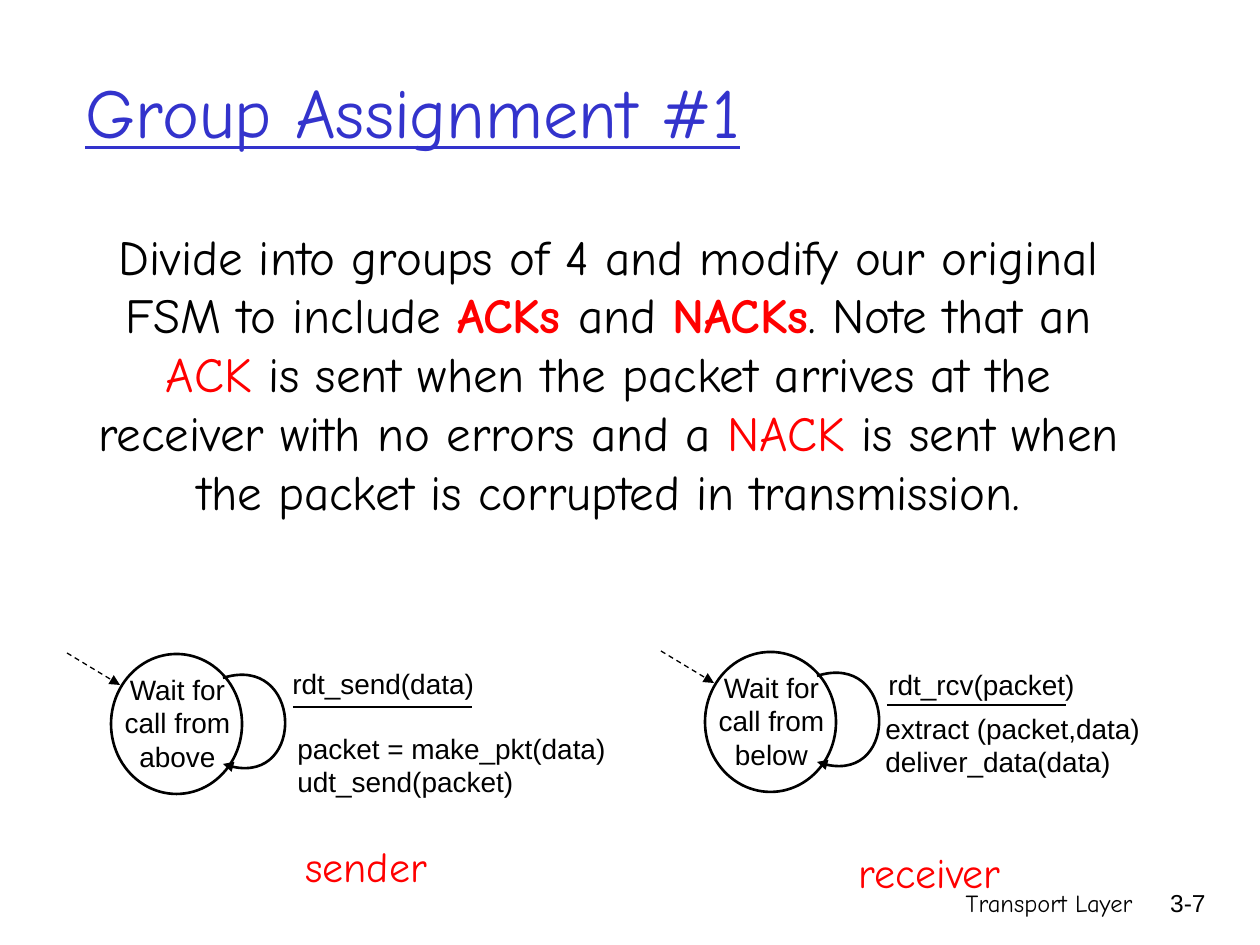
from pptx import Presentation
from pptx.dml.color import RGBColor
from pptx.enum.dml import MSO_LINE
from pptx.enum.shapes import MSO_CONNECTOR, MSO_SHAPE
from pptx.enum.text import MSO_ANCHOR, PP_ALIGN
from pptx.oxml.ns import qn
from pptx.util import Emu, Pt
from lxml.etree import SubElement

BLACK = RGBColor(0, 0, 0)
WHITE = RGBColor(255, 255, 255)
RED = RGBColor(255, 0, 0)
BLUE = RGBColor(0x33, 0x33, 0xCC)
COMIC, SANS = "Comic Neue", "Arial"
SCALE = 914400 / 126

TITLE = "Group Assignment #1"
TASK = [
    ("Divide into groups of 4 and modify our original FSM to include ", BLACK, False),
    ("ACKs ", RED, True),
    ("and ", BLACK, False),
    ("NACKs", RED, True),
    (". Note that an ", BLACK, False),
    ("ACK", RED, False),
    (" is sent when the packet arrives at the receiver with no errors and a ", BLACK, False),
    ("NACK", RED, False),
    (" is sent when the packet is corrupted in transmission.", BLACK, False),
]
MACHINES = [
    {"origin": (111, 654), "state": "Wait for call from above",
     "event": ("rdt_send(data)", (280, 660, 311, 59)),
     "actions": ("packet = make_pkt(data)\nudt_send(packet)", (285, 725, 402, 82)),
     "role": ("sender", (293, 834, 152, 63))},
    {"origin": (705, 652), "state": "Wait for call from below",
     "event": ("rdt_rcv(packet)", (876, 661, 216, 47)),
     "actions": ("extract (packet,data)\ndeliver_data(data)", (873, 705, 343, 59)),
     "role": ("receiver", (846, 840, 175, 63))},
]
FOOTERS = [
    ("Transport Layer", (746, 882, 399, 63), COMIC),
    ("3-7", (1125, 882, 93, 63), SANS),
]
STATE_SIZE = (131, 140)
LABEL_BOX = (-9, 12, 151, 126)
ENTRY = [(-44, -1), (9, 31)]
RULE = [(182, 53), (361, 53)]
LOOP = [(112, 24), (191, -1), (196, 140), (112, 110)]


def px(value):
    return Emu(round(value * SCALE))


def shifted(origin, points):
    return [(origin[0] + x, origin[1] + y) for x, y in points]


def add_text(place, spans, size, font, align=PP_ALIGN.LEFT):
    box = page.shapes.add_textbox(*map(px, place))
    frame = box.text_frame
    frame.word_wrap = True
    para = frame.paragraphs[0]
    for text, color, bold in spans:
        para.add_run().text = text
    for span, (text, color, bold) in zip(para.runs, spans):
        style(span, size, font, color, bold)
    para.alignment = align
    return frame


def style(span, size, font, color, bold=False):
    span.font.size = Pt(size)
    span.font.name = font
    span.font.color.rgb = color
    span.font.bold = bold


def add_label(place, text, size=16, font=SANS, color=BLACK, align=PP_ALIGN.LEFT):
    first, *rest = text.split("\n")
    frame = add_text(place, [(first, color, False)], size, font, align)
    for line in rest:
        para = frame.add_paragraph()
        para.text = line
        para.alignment = align
        style(para.runs[0], size, font, color)


def set_line(shape, width=1.5, arrow=False):
    shape.line.color.rgb = BLACK
    shape.line.width = Pt(width)
    if arrow:
        SubElement(shape.line._get_or_add_ln(), qn("a:tailEnd"), type="triangle")


def add_line(points, width=1.5, dashed=False):
    (x1, y1), (x2, y2) = points
    line = page.shapes.add_connector(MSO_CONNECTOR.STRAIGHT, px(x1), px(y1), px(x2), px(y2))
    if dashed:
        line.line.dash_style = MSO_LINE.DASH
    set_line(line, width, arrow=dashed)
    SubElement(line._element.spPr, qn("a:effectLst"))


def add_loop(points):
    builder = page.shapes.build_freeform(*points[0], scale=SCALE)
    builder.add_line_segments(points[1:], close=False)
    loop = builder.convert_to_shape()
    segments = list(loop._element.iter(qn("a:lnTo")))
    curve = SubElement(segments[0].getparent(), qn("a:cubicBezTo"))
    for segment in segments:
        curve.append(segment[0])
        segment.getparent().remove(segment)
    loop.fill.background()
    loop.shadow.inherit = False
    set_line(loop, arrow=True)


def add_machine(machine):
    origin = machine["origin"]
    state = page.shapes.add_shape(MSO_SHAPE.OVAL, *map(px, origin + STATE_SIZE))
    state.fill.solid()
    state.fill.fore_color.rgb = WHITE
    state.shadow.inherit = False
    set_line(state)
    label_place = (origin[0] + LABEL_BOX[0], origin[1] + LABEL_BOX[1]) + LABEL_BOX[2:]
    add_label(label_place, machine["state"], align=PP_ALIGN.CENTER)
    add_loop(shifted(origin, LOOP))
    add_line(shifted(origin, RULE))
    add_line(shifted(origin, ENTRY), 0.75, dashed=True)
    for key in ("event", "actions"):
        text, place = machine[key]
        add_label(place, text)
    text, place = machine["role"]
    add_label(place, text, 24, COMIC, RED)


deck = Presentation()
deck.slide_width, deck.slide_height = px(1260), px(945)
page = deck.slides.add_slide(deck.slide_layouts[6])

title = add_text((73, 32, 1071, 158), [(TITLE, BLUE, False)], 40, COMIC)
title.vertical_anchor = MSO_ANCHOR.MIDDLE
title.paragraphs[0].runs[0].font.underline = True

task = add_text((73, 220, 1071, 640), TASK, 28, COMIC, PP_ALIGN.CENTER)
task.paragraphs[0].space_before = Pt(7)

for machine in MACHINES:
    add_machine(machine)
for text, place, font in FOOTERS:
    add_label(place, text, 14, font, align=PP_ALIGN.RIGHT)

deck.save("out.pptx")
